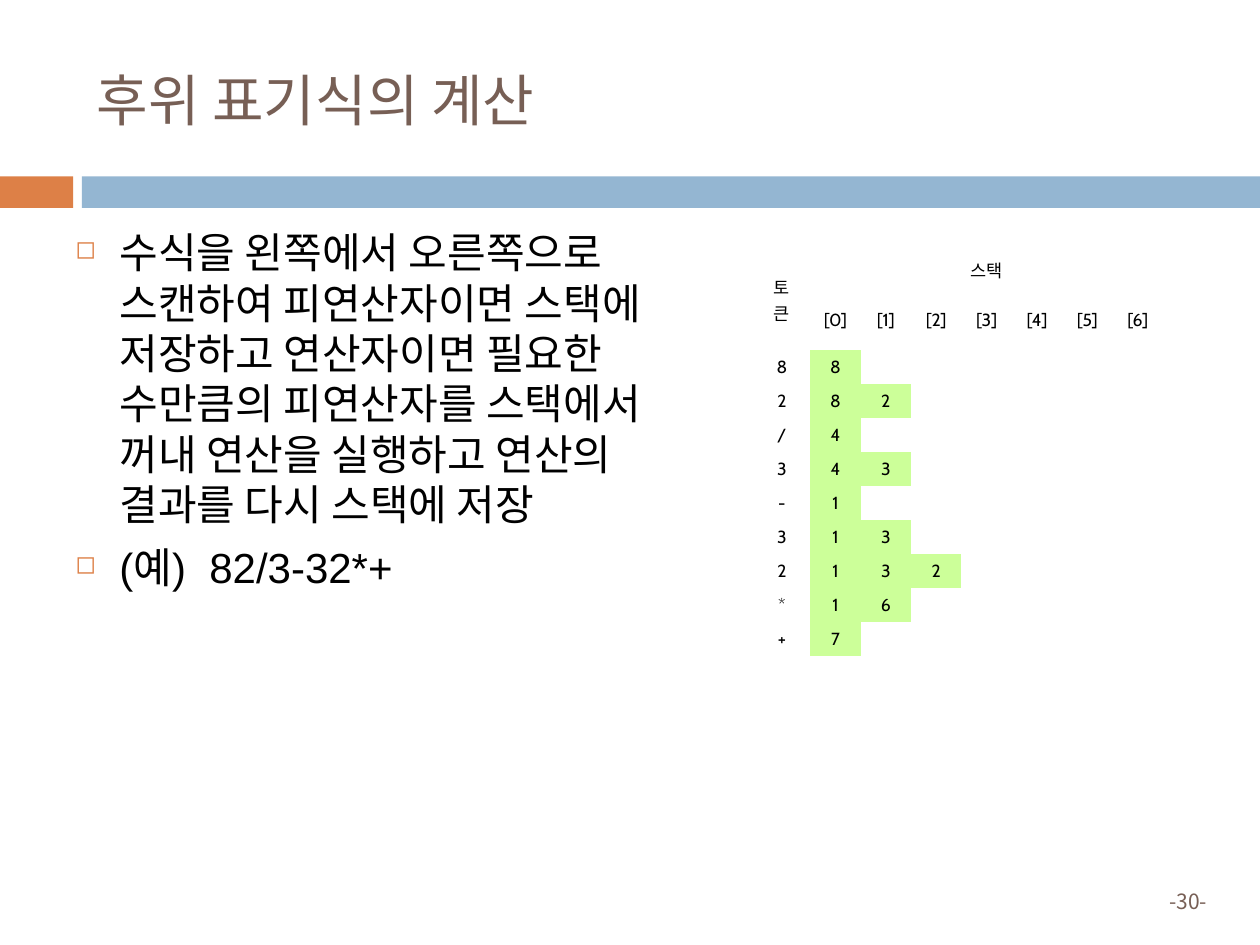
import dataclasses
from typing import Optional

import lxml.etree
import pptx
import pptx.dml.color
import pptx.enum.shapes
import pptx.enum.text
import pptx.oxml.ns
import pptx.util

Inches = pptx.util.Inches
Align = pptx.enum.text.PP_ALIGN
Anchor = pptx.enum.text.MSO_ANCHOR


@dataclasses.dataclass(frozen=True)
class Theme:
    orange: str = "DD8047"
    blue: str = "94B6D2"
    brown: str = "775F55"
    black: str = "000000"
    green: str = "CCFF99"
    korean_font: str = "Noto Sans CJK KR"
    body_font: str = "Arial"
    table_font: str = "Cabin"
    title_size: int = 32
    body_size: int = 24
    body_leading: float = 28.8
    number_size: int = 12
    table_size: int = 10


@dataclasses.dataclass(frozen=True)
class Box:
    left: float
    top: float
    width: float
    height: float

    def lengths(self) -> tuple:
        return tuple(Inches(value) for value in dataclasses.astuple(self))


@dataclasses.dataclass(frozen=True)
class Style:
    font: str
    size: int
    color: str


@dataclasses.dataclass(frozen=True)
class Step:
    """One token read and the stack after it."""
    token: str
    stack: str


THEME = Theme()
TITLE = Style(THEME.korean_font, THEME.title_size, THEME.brown)
NUMBER = Style(THEME.korean_font, THEME.number_size, THEME.brown)
BODY = Style(THEME.body_font, THEME.body_size, THEME.black)
TABLE = Style(THEME.table_font, THEME.table_size, THEME.black)

BULLETS = (
    "수식을 왼쪽에서 오른쪽으로 스캔하여 피연산자이면 스택에 저장하고 연산자이면 필요한 "
    "수만큼의 피연산자를 스택에서 꺼내 연산을 실행하고 연산의 결과를 다시 스택에 저장",
    "(예)  82/3-32*+",
)
STEPS = (
    Step("8", "8"), Step("2", "82"), Step("/", "4"),
    Step("3", "43"), Step("-", "1"), Step("3", "13"),
    Step("2", "132"), Step("*", "16"), Step("+", "7"),
)
STACK_SLOTS = 7
HEADER_HEIGHTS = (0.32, 0.48)
STEP_HEIGHT = 0.27
TOKEN_WIDTH, SLOT_WIDTH = 0.45, 0.4


def rgb(color: str) -> pptx.dml.color.RGBColor:
    return pptx.dml.color.RGBColor.from_string(color)


def add_element(parent, tag: str, **attributes: str):
    element = lxml.etree.SubElement(parent, pptx.oxml.ns.qn(tag))
    for name, value in attributes.items():
        element.set(name, value)
    return element


def add_run(paragraph, text: str, style: Style) -> None:
    run = paragraph.add_run()
    run.text = text
    run.font.name = style.font
    run.font.size = pptx.util.Pt(style.size)
    run.font.color.rgb = rgb(style.color)
    add_element(run.font._element, "a:ea", typeface=THEME.korean_font)


def add_bar(slide, box: Box, color: str) -> None:
    bar = slide.shapes.add_shape(
        pptx.enum.shapes.MSO_SHAPE.RECTANGLE, *box.lengths())
    bar.shadow.inherit = False
    bar.fill.solid()
    bar.fill.fore_color.rgb = rgb(color)
    bar.line.fill.background()


def add_text_frame(slide, box: Box, anchor: Anchor):
    frame = slide.shapes.add_textbox(*box.lengths()).text_frame
    frame.word_wrap = True
    frame.vertical_anchor = anchor
    return frame


def add_line(slide, box: Box, text: str, style: Style, align: Align) -> None:
    paragraph = add_text_frame(slide, box, Anchor.MIDDLE).paragraphs[0]
    paragraph.alignment = align
    add_run(paragraph, text, style)


def add_bullets(slide, box: Box) -> None:
    frame = add_text_frame(slide, box, Anchor.TOP)
    for index, text in enumerate(BULLETS):
        paragraph = frame.add_paragraph() if index else frame.paragraphs[0]
        paragraph.space_before = pptx.util.Pt(7)
        paragraph.line_spacing = pptx.util.Pt(THEME.body_leading)
        properties = paragraph._p.get_or_add_pPr()
        properties.set("marL", str(Inches(0.35)))
        properties.set("indent", str(Inches(-0.35)))
        bullet_color = add_element(properties, "a:buClr")
        add_element(bullet_color, "a:srgbClr", val=THEME.orange)
        add_element(properties, "a:buSzPct", val="60000")
        add_element(properties, "a:buChar", char="◻")
        add_run(paragraph, text, BODY)


def format_cell(cell, text: str = "", fill: Optional[str] = None) -> None:
    properties = cell._tc.get_or_add_tcPr()
    for side in ("a:lnL", "a:lnR", "a:lnT", "a:lnB"):
        add_element(add_element(properties, side, w="0"), "a:noFill")
    if fill:
        cell.fill.solid()
        cell.fill.fore_color.rgb = rgb(fill)
    else:
        cell.fill.background()
    cell.vertical_anchor = Anchor.MIDDLE
    paragraph = cell.text_frame.paragraphs[0]
    paragraph.alignment = Align.CENTER
    if text:
        add_run(paragraph, text, TABLE)
    else:
        # Keeps an empty cell from stretching its row.
        add_element(paragraph._p, "a:endParaRPr", sz=str(TABLE.size * 100))


def add_stack_table(slide, left: float, top: float) -> None:
    widths = [TOKEN_WIDTH] + [SLOT_WIDTH] * STACK_SLOTS
    heights = [*HEADER_HEIGHTS] + [STEP_HEIGHT] * len(STEPS)
    box = Box(left, top, sum(widths), sum(heights))
    table = slide.shapes.add_table(
        len(heights), len(widths), *box.lengths()).table
    table.first_row = False
    table.horz_banding = False
    for column, width in zip(table.columns, widths):
        column.width = Inches(width)
    for row, height in zip(table.rows, heights):
        row.height = Inches(height)

    blanks = [""] * (STACK_SLOTS - 1)
    header_rows = [
        ["토큰", "스택", *blanks],
        ["", *(f"[{slot}]" for slot in range(STACK_SLOTS))],
    ]
    step_rows = [[step.token, *step.stack.ljust(STACK_SLOTS)] for step in STEPS]
    for row_index, texts in enumerate(header_rows + step_rows):
        for column_index, text in enumerate(texts):
            value = text.strip()
            in_stack = row_index >= len(header_rows) and column_index > 0
            fill = THEME.green if in_stack and value else None
            format_cell(table.cell(row_index, column_index), value, fill)
    table.cell(0, 0).merge(table.cell(1, 0))
    table.cell(0, 1).merge(table.cell(0, STACK_SLOTS))


def main() -> None:
    presentation = pptx.Presentation()
    presentation.slide_width = Inches(10)
    presentation.slide_height = Inches(7.5)
    slide = presentation.slides.add_slide(presentation.slide_layouts[6])
    add_bar(slide, Box(0, 1.4, 0.58, 0.25), THEME.orange)
    add_bar(slide, Box(0.65, 1.4, 9.35, 0.25), THEME.blue)
    add_line(slide, Box(8.74, 6.95, 0.94, 0.4), "-30-", NUMBER, Align.RIGHT)
    add_line(slide, Box(0.67, 0.25, 8.92, 1.08), "후위 표기식의 계산", TITLE, Align.LEFT)
    add_bullets(slide, Box(0.5, 1.75, 5.14, 4.95))
    add_stack_table(slide, 5.98, 1.98)
    presentation.save("out.pptx")


if __name__ == "__main__":
    main()
